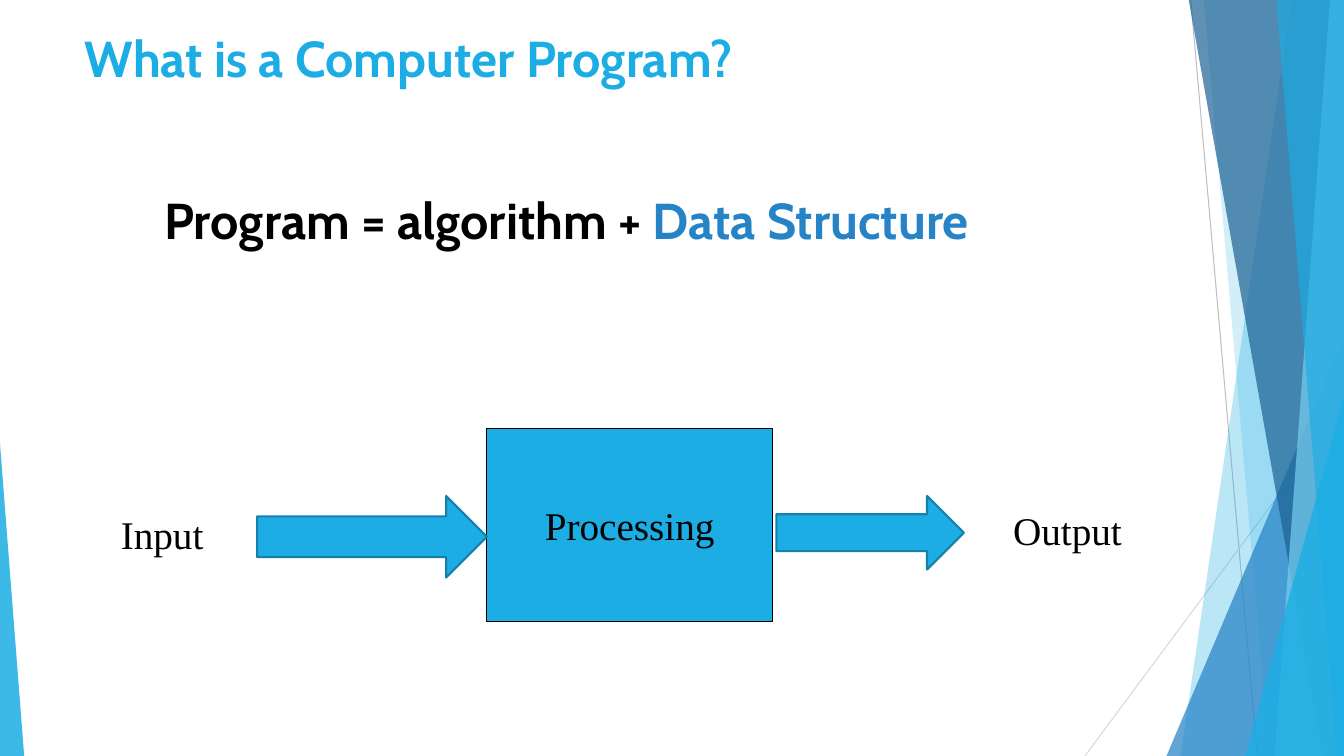
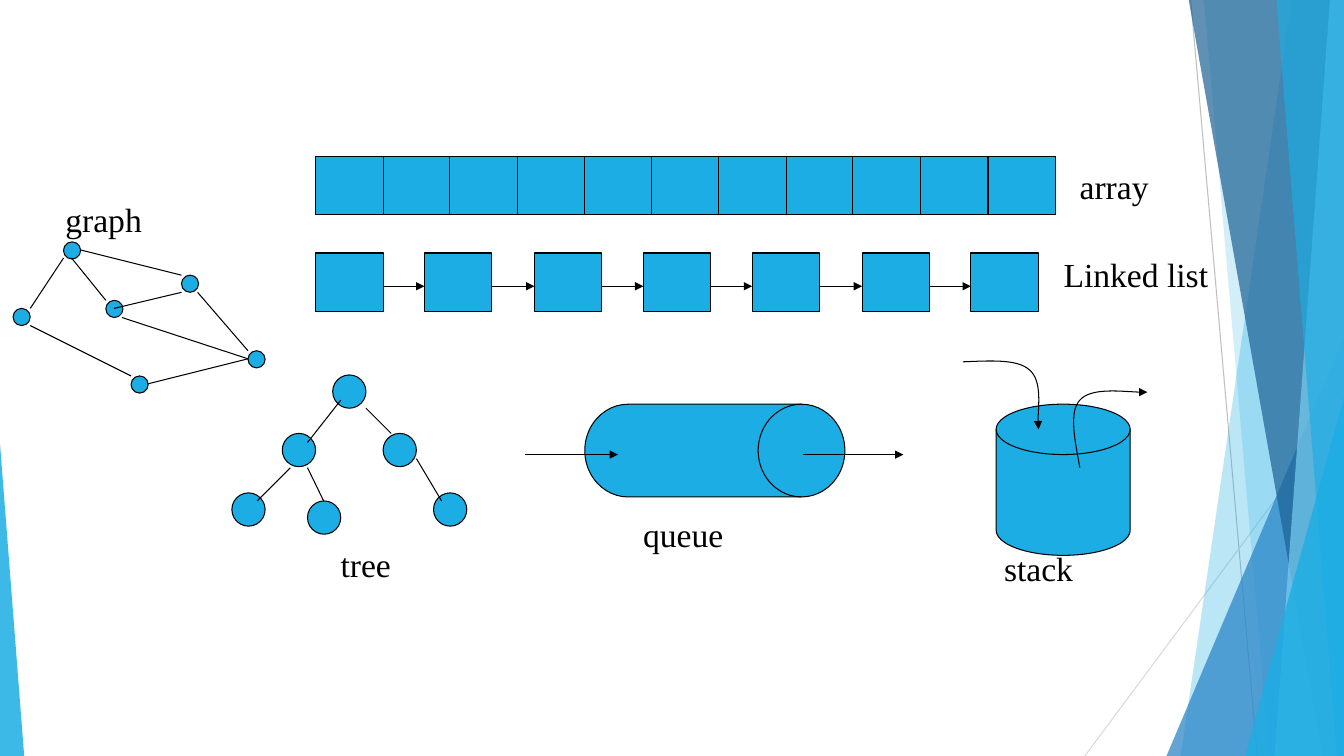
from dataclasses import dataclass

from lxml import etree
from pptx import Presentation
from pptx import util as u
from pptx.dml.color import RGBColor
from pptx.enum import shapes, text
from pptx.oxml.ns import qn

PX = 9144  # EMU per px, 100 px to the inch
WIDTH, HEIGHT = 1333, 750


@dataclass(frozen=True)
class Theme:
    sky: str = "1CADE4"
    blue: str = "2683C6"
    navy: str = "1D6294"
    pale: str = "77CEEF"
    edge: str = "1580A9"
    ink: str = "000000"
    grey: str = "BFBFBF"
    light_grey: str = "D9D9D9"
    heading_font: str = "Cabin"
    label_font: str = "Times New Roman"
    heading: int = 36
    step: int = 28
    label: int = 24


theme = Theme()


def style(item, fill=None, line=theme.ink, width=0.75, alpha=100, arrow=False):
    """Set fill, outline and arrowhead, and switch the shadow off."""
    props = item.element.spPr
    if fill:
        item.fill.solid()
        item.fill.fore_color.rgb = RGBColor.from_string(fill)
        if alpha < 100:
            colour = props.find(".//" + qn("a:srgbClr"))
            etree.SubElement(colour, qn("a:alpha"), val=str(alpha * 1000))
    elif hasattr(item, "fill"):
        item.fill.background()
    if line:
        item.line.color.rgb = RGBColor.from_string(line)
        item.line.width = u.Pt(width)
    else:
        item.line.fill.background()
    if arrow:
        etree.SubElement(props.find(qn("a:ln")), qn("a:tailEnd"), type="triangle")
    etree.SubElement(props, qn("a:effectLst"))
    return item


def write(box, runs, font, size, bold=False, align=text.PP_ALIGN.LEFT,
          anchor=text.MSO_ANCHOR.TOP):
    """Write one paragraph of (words, colour) runs into a box."""
    frame = box.text_frame
    frame.word_wrap = True
    frame.vertical_anchor = anchor
    line = frame.paragraphs[0]
    line.alignment = align
    line.font.name, line.font.size, line.font.bold = font, u.Pt(size), bold
    line.font.color.rgb = RGBColor.from_string(runs[0][1])
    for words, colour in runs:
        run = line.add_run()
        run.text = words
        if colour != runs[0][1]:
            run.font.color.rgb = RGBColor.from_string(colour)


deck = Presentation()
deck.slide_width, deck.slide_height = WIDTH * PX, HEIGHT * PX
blank = deck.slide_layouts[6]
program = deck.slides.add_slide(blank)
structures = deck.slides.add_slide(blank)
STRAIGHT = shapes.MSO_CONNECTOR.STRAIGHT
SHAPE = shapes.MSO_SHAPE

# Shared side decoration, moved to the layout once drawn
decoration = []
for ends, colour in [((1181, 0, 1247, HEIGHT), theme.grey),
                     ((WIDTH, 404, 1076, HEIGHT), theme.light_grey)]:
    ray = program.shapes.add_connector(STRAIGHT, *[v * PX for v in ends])
    decoration.append(style(ray, line=colour))

# A panel is (top x, bottom x); a triangle is (left, top, width, height, apex)
facets = [
    ((1281, 1171), theme.sky, 30),
    ((1194, 1259), theme.sky, 20),
    ((1157, 334, 176, 416, 1), theme.blue, 72),
    ((1179, 1312), theme.navy, 70),
    ((1319, 1264), theme.pale, 70),
    ((1266, 1326), theme.sky, 65),
    ((1235, 394, 98, 356, 1), theme.sky, 80),
    ((0, 440, 24, 310, 0), theme.sky, 85),
]
for outline, colour, alpha in facets:
    if len(outline) == 2:
        top, bottom = outline
        builder = program.shapes.build_freeform(top, 0, scale=PX)
        builder.add_line_segments([(WIDTH, 0), (WIDTH, HEIGHT), (bottom, HEIGHT)])
        facet = builder.convert_to_shape()
    else:
        *box, apex = outline
        facet = program.shapes.add_shape(SHAPE.ISOSCELES_TRIANGLE, *[v * PX for v in box])
        facet.adjustments[0] = apex
    decoration.append(style(facet, colour, None, alpha=alpha))

for holder in list(blank.placeholders):
    blank.shapes.element.remove(holder.element)
for piece in decoration:
    blank.shapes.element.append(piece.element)

# Slide 1: headings
headings = [
    ((74, 22, 940, 144), [("What is a Computer Program?", theme.sky)]),
    ((153, 183, 939, 63), [("Program = algorithm + ", theme.ink),
                           ("Data Structure", theme.blue)]),
]
for box, runs in headings:
    heading = program.shapes.add_textbox(*[v * PX for v in box])
    write(heading, runs, theme.heading_font, theme.heading, bold=True)

# Slide 1: input, processing, output
processing = program.shapes.add_shape(SHAPE.RECTANGLE, *[v * PX for v in (483, 425, 283, 192)])
style(processing, theme.sky)
write(processing, [("Processing", theme.ink)], theme.label_font, theme.step,
      align=text.PP_ALIGN.CENTER, anchor=text.MSO_ANCHOR.MIDDLE)
for box in [(255, 492, 228, 81), (770, 492, 186, 73)]:
    flow = program.shapes.add_shape(SHAPE.RIGHT_ARROW, *[v * PX for v in box])
    style(flow, theme.sky, theme.edge, 1.5)

# Slide 2: array and linked list
CELL_W, CELL_H = 67, 58
array_cells = [(313 + round(i * 200 / 3), 155) for i in range(11)]
list_cells = [(313 + round(i * 325 / 3), 251) for i in range(7)]
for x, y in array_cells + list_cells:
    cell = structures.shapes.add_shape(SHAPE.RECTANGLE, x * PX, y * PX, CELL_W * PX, CELL_H * PX)
    style(cell, theme.sky)
list_links = [(x + CELL_W, 284, following, 284)
              for (x, _), (following, _) in zip(list_cells, list_cells[1:])]

# Slide 2: nodes of the tree and the graph
tree_nodes = [(330, 372), (280, 430), (230, 489), (380, 430), (430, 489), (305, 497)]
graph_nodes = [(130, 373), (246, 348), (105, 298), (13, 306), (180, 273), (63, 240)]
for size, nodes in [(33, tree_nodes), (17, graph_nodes)]:
    for x, y in nodes:
        node = structures.shapes.add_shape(SHAPE.OVAL, x * PX, y * PX, size * PX, size * PX)
        style(node, theme.sky)

# Slide 2: queue and stack bodies
for kind, box in [(SHAPE.FLOWCHART_DIRECT_ACCESS_STORAGE, (580, 401, 258, 92)),
                  (SHAPE.FLOWCHART_MAGNETIC_DISK, (988, 401, 133, 150))]:
    body = structures.shapes.add_shape(kind, *[v * PX for v in box])
    style(body, theme.sky)

# Slide 2: straight links
tree_edges = [(338, 397, 305, 439), (288, 464, 255, 497), (363, 405, 388, 430),
              (413, 455, 438, 497), (305, 464, 321, 497)]
graph_edges = [(63, 256, 30, 306), (80, 248, 180, 273), (71, 256, 105, 298),
               (180, 290, 113, 306), (121, 315, 246, 356), (196, 290, 246, 348),
               (30, 323, 130, 373), (146, 381, 246, 356)]
queue_flows = [(521, 451, 613, 451), (796, 451, 896, 451)]
for arrow, links in [(True, list_links + queue_flows), (False, tree_edges + graph_edges)]:
    for ends in links:
        link = structures.shapes.add_connector(STRAIGHT, *[v * PX for v in ends])
        style(link, arrow=arrow)

# Slide 2: push and pop curves, each a start and two cubic segments
push = [(955, 359), (982, 358), (1009, 356), (1021, 367), (1034, 378), (1028, 416), (1030, 426)]
pop = [(1071, 464), (1066, 436), (1060, 409), (1071, 397), (1082, 384), (1127, 390), (1138, 389)]
for start, *controls in (push, pop):
    builder = structures.shapes.build_freeform(*start, scale=PX)
    builder.add_line_segments(controls, close=False)
    curve = style(builder.convert_to_shape(), arrow=True)
    outline = curve.element.spPr.find(".//" + qn("a:path"))
    corners = outline.findall(qn("a:lnTo"))
    for i in range(0, len(corners), 3):
        bend = etree.SubElement(outline, qn("a:cubicBezTo"))
        for corner in corners[i:i + 3]:
            bend.append(corner[0])
            outline.remove(corner)

# Labels of both slides
labels = [
    (program, theme.step, [("Input", 110, 501, 117), ("Output", 995, 497, 151)]),
    (structures, theme.label, [
        ("array", 1061, 160, 103), ("Linked list", 1045, 247, 182), ("tree", 328, 535, 83),
        ("queue", 628, 505, 119), ("stack", 986, 539, 109), ("graph", 55, 192, 114)]),
]
for slide, size, names in labels:
    for words, x, y, width in names:
        label = slide.shapes.add_textbox(x * PX, y * PX, width * PX, 50 * PX)
        write(label, [(words, theme.ink)], theme.label_font, size)

deck.save("out.pptx")
